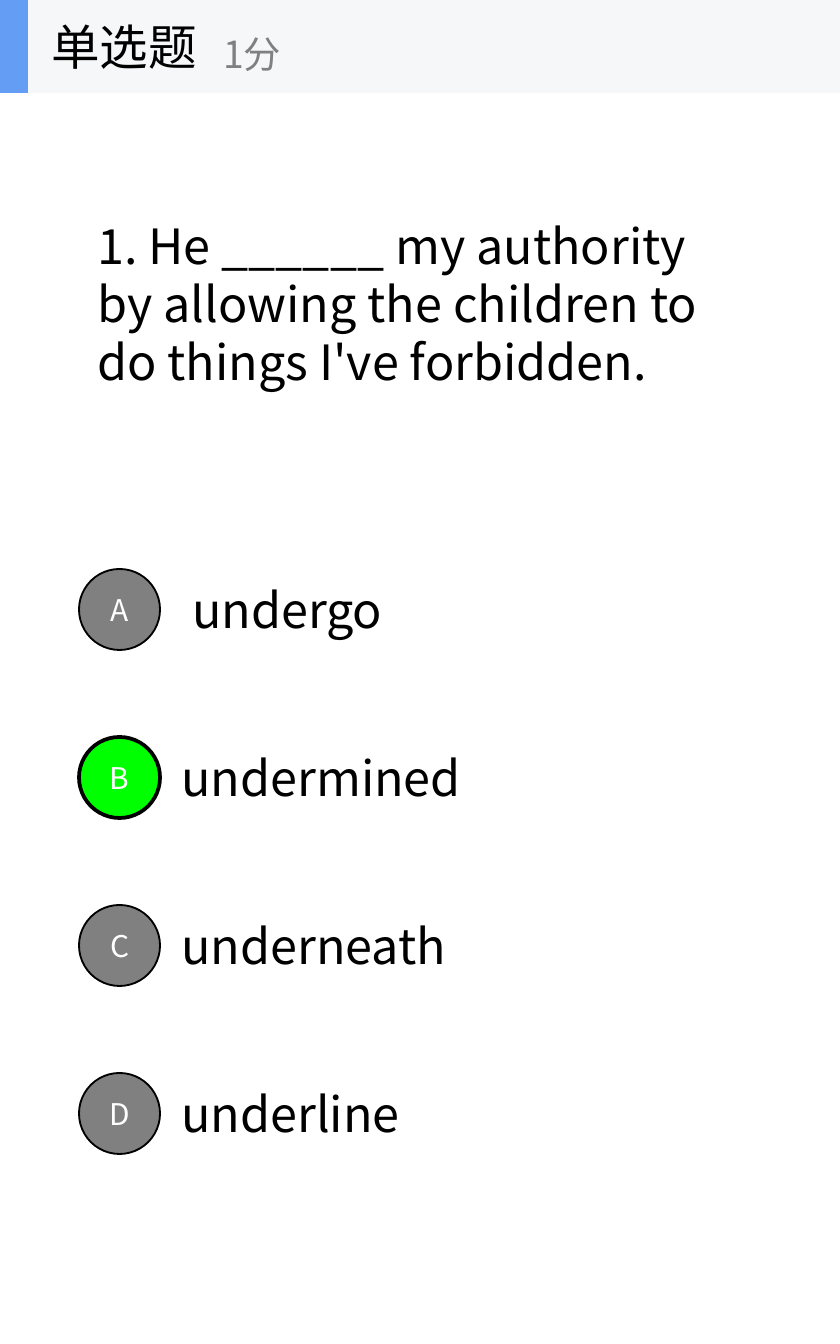
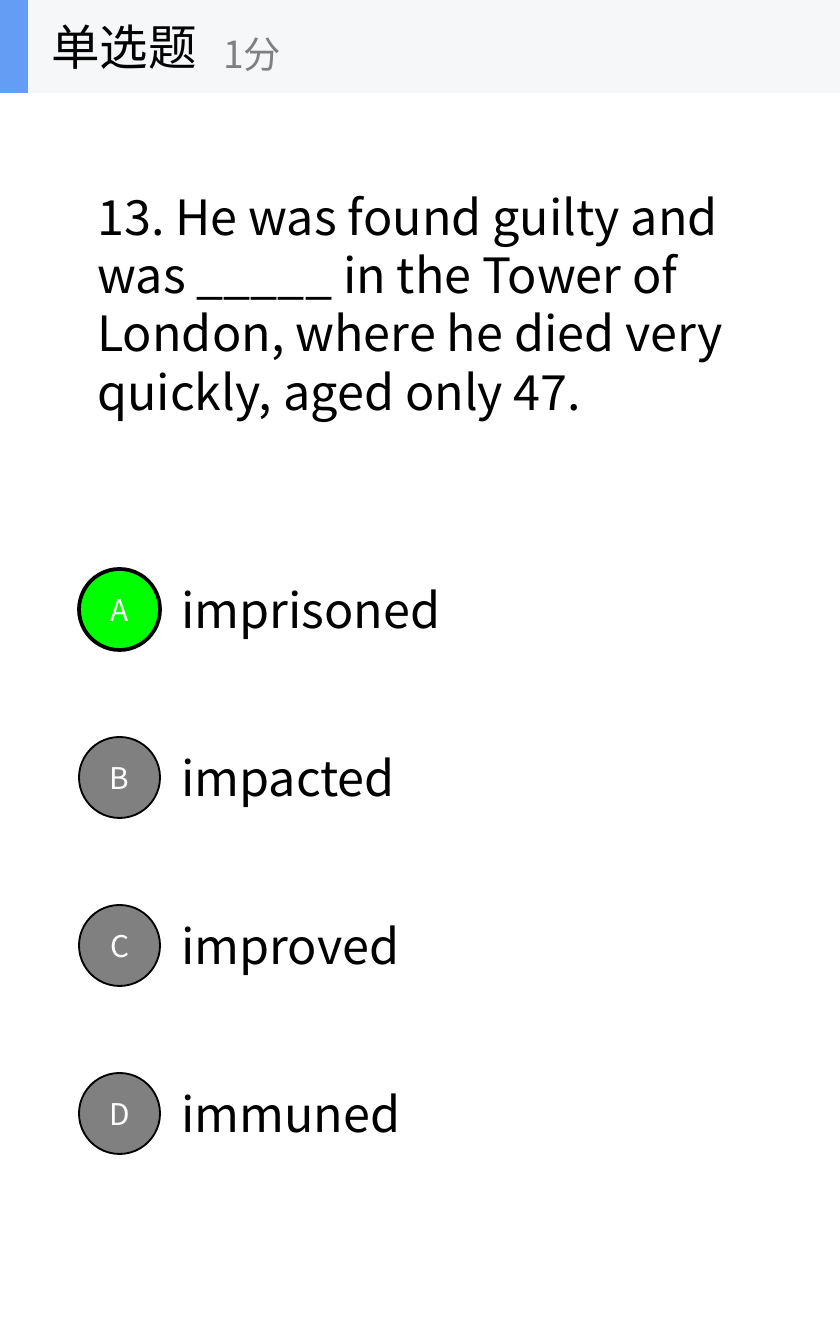
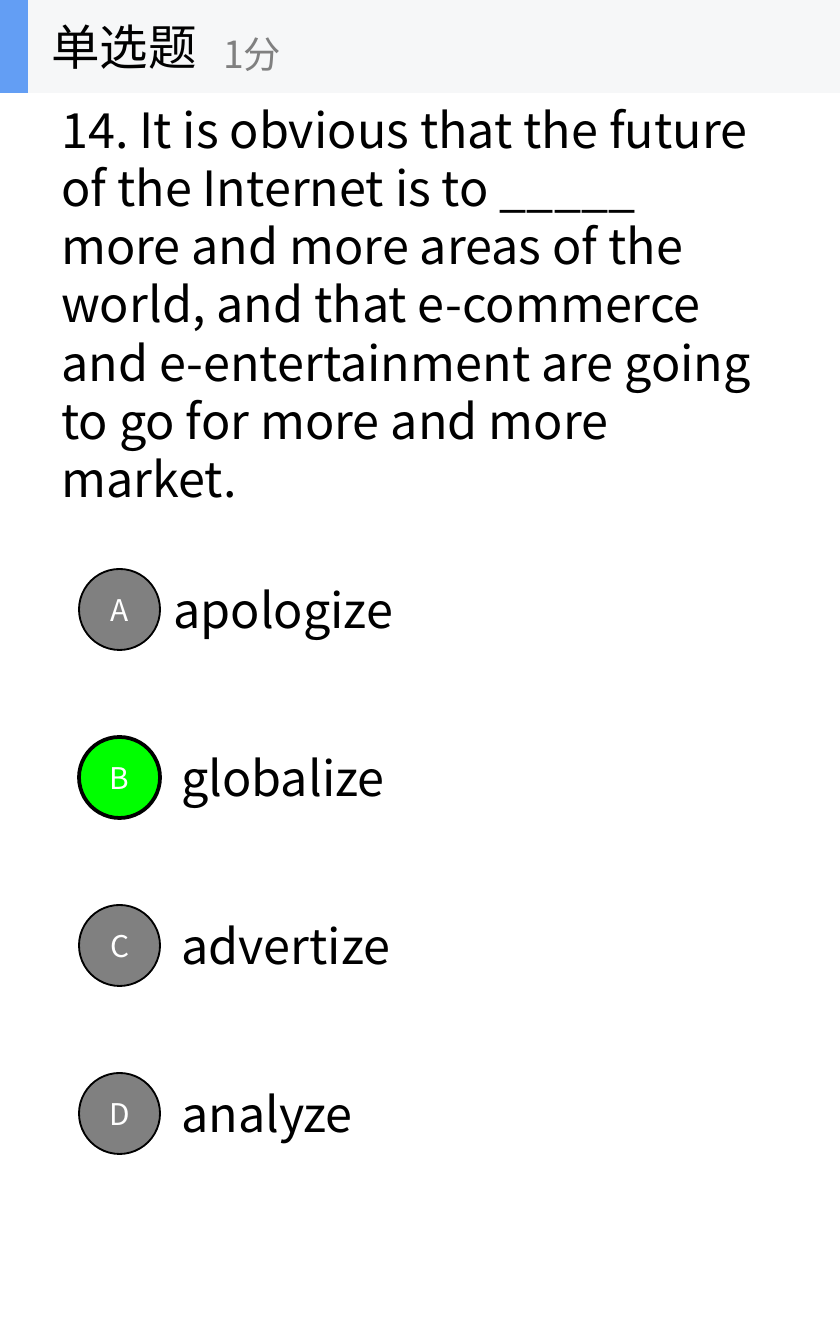
import collections
import dataclasses

import lxml.etree
import pptx
import pptx.dml.color
import pptx.enum.shapes
import pptx.enum.text
import pptx.oxml.ns
import pptx.util

EMU_PER_PX = 914400 / 134.4
SLIDE_WIDTH, SLIDE_HEIGHT = 840, 1344

SHAPES = pptx.enum.shapes.MSO_SHAPE
ALIGN = pptx.enum.text.PP_ALIGN

Box = collections.namedtuple("Box", "left top width height")
Option = collections.namedtuple("Option", "text width indent", defaults=[89])
Question = collections.namedtuple("Question", "text box options answer")


@dataclasses.dataclass(frozen=True)
class Theme:
    font: str = "Noto Sans CJK SC"
    ink: str = "000000"
    muted: str = "808080"
    paper: str = "FFFFFF"
    band: str = "F6F7F8"
    accent: str = "639EF4"
    correct: str = "00FF00"
    body_size: int = 26
    score_size: int = 20
    letter_size: int = 16


THEME = Theme()
HEADER = Box(0, 0, SLIDE_WIDTH, 93)
OPTIONS = Box(79, 569, 682, 585)
OPTION_PITCH = 168
BADGE_SIZE = 81
LABEL_HEIGHT = 73

QUESTIONS = [
    Question(
        "1. He ______ my authority by allowing the children to do things I've forbidden.",
        Box(84, 208, 649, 190),
        [Option(" undergo", 378), Option("undermined", 344),
         Option("underneath", 394), Option("underline", 422)],
        "B",
    ),
    Question(
        "13. He was found guilty and was _____ in the Tower of London, "
        "where he died very quickly, aged only 47.",
        Box(84, 179, 664, 249),
        [Option("imprisoned", 520), Option("impacted", 492),
         Option("improved", 504), Option("immuned", 445)],
        "A",
    ),
    Question(
        "14. It is obvious that the future of the Internet is to _____ more and more "
        "areas of the world, and that e-commerce and e-entertainment are going to go "
        "for more and more market.",
        Box(48, 91, 727, 425),
        [Option("apologize", 426, 81), Option("globalize", 378),
         Option("advertize", 378), Option("analyze", 329)],
        "B",
    ),
]


def px(length):
    return pptx.util.Emu(round(length * EMU_PER_PX))


def emu_box(box):
    return [px(length) for length in box]


def rgb(color):
    return pptx.dml.color.RGBColor.from_string(color)


def write(shape, text, size, color, align=ALIGN.LEFT, wrap=True):
    """Fill a shape with one vertically centred paragraph."""
    frame = shape.text_frame
    frame.word_wrap = wrap
    frame.vertical_anchor = pptx.enum.text.MSO_ANCHOR.MIDDLE
    paragraph = frame.paragraphs[0]
    paragraph.text = text
    paragraph.alignment = align
    paragraph.font.size = pptx.util.Pt(size)
    paragraph.font.color.rgb = rgb(color)
    paragraph.font.name = THEME.font
    qn = pptx.oxml.ns.qn
    properties = paragraph._p.pPr.find(qn("a:defRPr"))
    lxml.etree.SubElement(properties, qn("a:ea"), typeface=THEME.font)


def add_text(shapes, box, text, size=THEME.body_size, color=THEME.ink, wrap=True):
    write(shapes.add_textbox(*emu_box(box)), text, size, color, wrap=wrap)


def add_filled(shapes, kind, box, fill, line_width=0):
    shape = shapes.add_shape(kind, *emu_box(box))
    shape.shadow.inherit = False
    shape.fill.solid()
    shape.fill.fore_color.rgb = rgb(fill)
    if line_width:
        shape.line.color.rgb = rgb(THEME.ink)
        shape.line.width = pptx.util.Pt(line_width)
    else:
        shape.line.fill.background()
    return shape


def add_header(slide, box):
    shapes = slide.shapes.add_group_shape().shapes
    add_filled(shapes, SHAPES.RECTANGLE, box, THEME.band)
    add_filled(shapes, SHAPES.RECTANGLE, box._replace(width=28), THEME.accent)
    title_box = Box(box.left + 38, box.top, 280, box.height)
    add_text(shapes, title_box, "单选题", wrap=False)
    score_box = Box(box.left + 210, box.top + 16, 336, 75)
    add_text(shapes, score_box, "1分", THEME.score_size, THEME.muted, wrap=False)


def add_option(slide, box, letter, option, is_answer):
    label_top = box.top + (box.height - LABEL_HEIGHT) // 2
    label_box = Box(box.left + option.indent, label_top, option.width, LABEL_HEIGHT)
    add_text(slide.shapes, label_box, option.text)
    badge = add_filled(
        slide.shapes, SHAPES.OVAL, box._replace(width=box.height),
        THEME.correct if is_answer else THEME.muted, 2 if is_answer else 1,
    )
    write(badge, letter, THEME.letter_size, THEME.paper, ALIGN.CENTER)


def add_options(slide, box, options, answer):
    for row, (letter, option) in enumerate(zip("ABCD", options)):
        row_box = Box(box.left, box.top + row * OPTION_PITCH, box.width, BADGE_SIZE)
        add_option(slide, row_box, letter, option, letter == answer)


def add_question_slide(presentation, question):
    slide = presentation.slides.add_slide(presentation.slide_layouts[6])
    slide.background.fill.solid()
    slide.background.fill.fore_color.rgb = rgb(THEME.paper)
    add_text(slide.shapes, question.box, question.text)
    add_options(slide, OPTIONS, question.options, question.answer)
    add_header(slide, HEADER)


def main():
    presentation = pptx.Presentation()
    presentation.slide_width = px(SLIDE_WIDTH)
    presentation.slide_height = px(SLIDE_HEIGHT)
    for question in QUESTIONS:
        add_question_slide(presentation, question)
    presentation.save("out.pptx")


if __name__ == "__main__":
    main()
